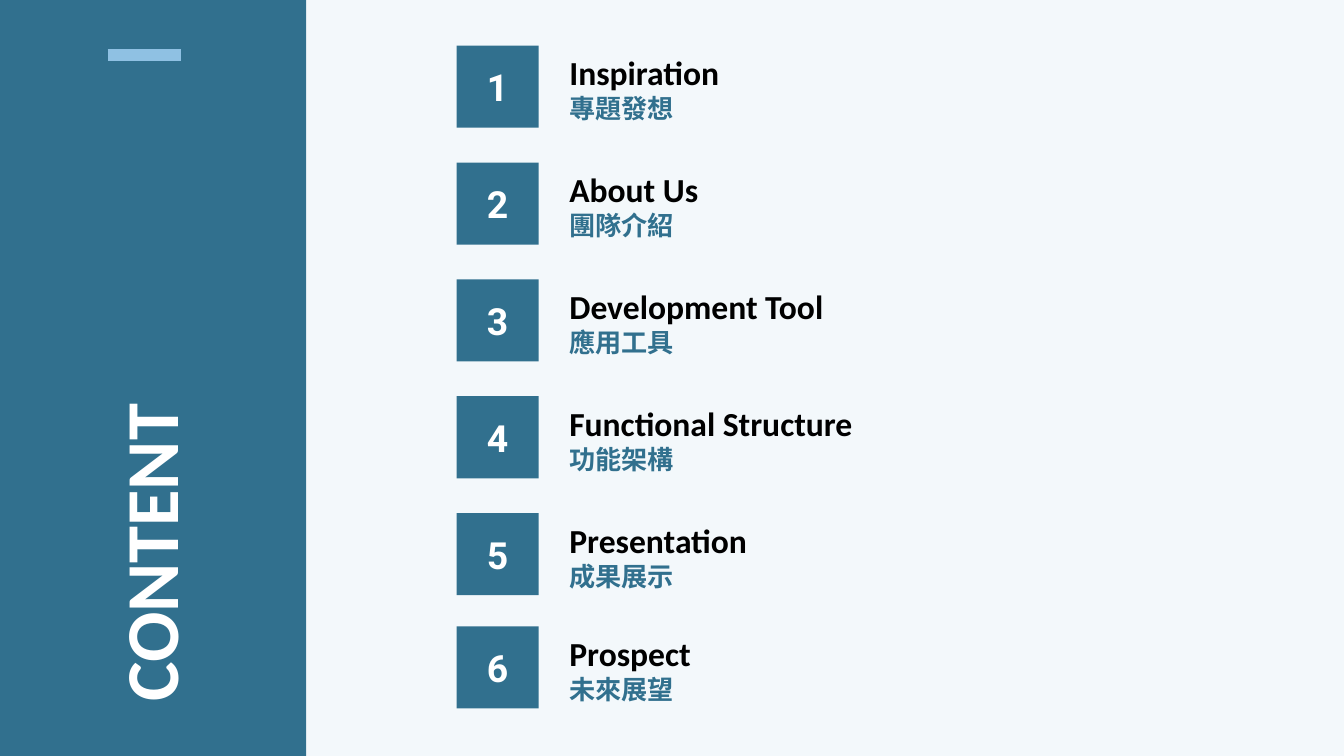
import pptx
import pptx.dml.color
import pptx.enum.shapes
import pptx.enum.text
import pptx.oxml.ns
import pptx.util
from lxml import etree

Pt = pptx.util.Pt
RECT = pptx.enum.shapes.MSO_SHAPE.RECTANGLE
ANCHOR = pptx.enum.text.MSO_ANCHOR
ALIGN = pptx.enum.text.PP_ALIGN
qn = pptx.oxml.ns.qn

COLORS = {
    "teal": "31708E",
    "sky": "8FC1E3",
    "pale": "F3F8FB",
    "white": "FFFFFF",
    "black": "000000",
}
SLIDE_W, SLIDE_H = 720, 405
SIDEBAR_W = 164.16
ROW_H, ROW_PITCH = 44, 62.6

# English title, Chinese title, width of the label
TOPICS = [
    ("Inspiration", "專題發想", 95.8),
    ("About Us", "團隊介紹", 84.2),
    ("Development Tool", "應用工具", 153.4),
    ("Functional Structure", "功能架構", 167.8),
    ("Presentation", "成果展示", 110.9),
    ("Prospect", "未來展望", 80.6),
]


def rgb(name):
    return pptx.dml.color.RGBColor.from_string(COLORS[name])


def add_rect(shapes, x, y, w, h, color):
    sp = shapes.add_shape(RECT, Pt(x), Pt(y), Pt(w), Pt(h))
    sp.shadow.inherit = False
    sp.fill.solid()
    sp.fill.fore_color.rgb = rgb(color)
    sp.line.fill.background()
    return sp


def write(p, text, size, font, color):
    p.text = text
    r = p.runs[0]
    r.font.size = Pt(size)
    r.font.bold = True
    r.font.color.rgb = rgb(color)
    r.font.name = font
    ea = etree.SubElement(r.font._element, qn("a:ea"))
    ea.set("typeface", font)


def add_sidebar(s, x, y, w, h):
    add_rect(s.shapes, x, y, w, h, "teal")

    # Accent bar
    bar_y = Pt(y + 29.5)
    bar = s.shapes.add_connector(
        pptx.enum.shapes.MSO_CONNECTOR.STRAIGHT,
        Pt(x + 57.6), bar_y, Pt(x + 97.2), bar_y)
    bar.line.color.rgb = rgb("sky")
    bar.line.width = Pt(6)
    etree.SubElement(bar._element.spPr, qn("a:effectLst"))

    # Heading, reading upwards
    heading = s.shapes.add_textbox(
        Pt(x - 69.84), Pt(y + 198.72), Pt(302.4), Pt(66.24))
    heading.rotation = 270
    tf = heading.text_frame
    tf.word_wrap = True
    tf.margin_top = tf.margin_bottom = Pt(7.2)
    write(tf.paragraphs[0], "CONTENT", 40, "Calibri", "white")


def add_topic(s, x, y, size, number, topic):
    title, subtitle, label_w = topic
    group = s.shapes.add_group_shape()

    # Title and subtitle
    label = group.shapes.add_textbox(Pt(x + 53.3), Pt(y), Pt(label_w), Pt(46))
    tf = label.text_frame
    tf.word_wrap = False
    write(tf.paragraphs[0], title, 18, "Calibri", "black")
    write(tf.add_paragraph(), subtitle, 14, "Noto Sans CJK SC", "teal")

    # Numbered square
    square = add_rect(group.shapes, x, y, size, size, "teal")
    tf = square.text_frame
    tf.vertical_anchor = ANCHOR.MIDDLE
    p = tf.paragraphs[0]
    p.alignment = ALIGN.CENTER
    write(p, str(number), 20, "Roboto", "white")


def add_topics(s, x, y, w, h):
    add_rect(s.shapes, x, y, w, h, "pale")
    last_top = y + h - 69.4  # the last row stays clear of the bottom edge
    for i, topic in enumerate(TOPICS):
        top = min(y + 24.5 + i * ROW_PITCH, last_top)
        add_topic(s, x + 80.5, top, ROW_H, i + 1, topic)


def main():
    prs = pptx.Presentation()
    prs.slide_width, prs.slide_height = Pt(SLIDE_W), Pt(SLIDE_H)
    s = prs.slides.add_slide(prs.slide_layouts[6])
    add_sidebar(s, 0, 0, SIDEBAR_W, SLIDE_H)
    add_topics(s, SIDEBAR_W, 0, SLIDE_W - SIDEBAR_W, SLIDE_H)
    prs.save("out.pptx")


if __name__ == "__main__":
    main()
